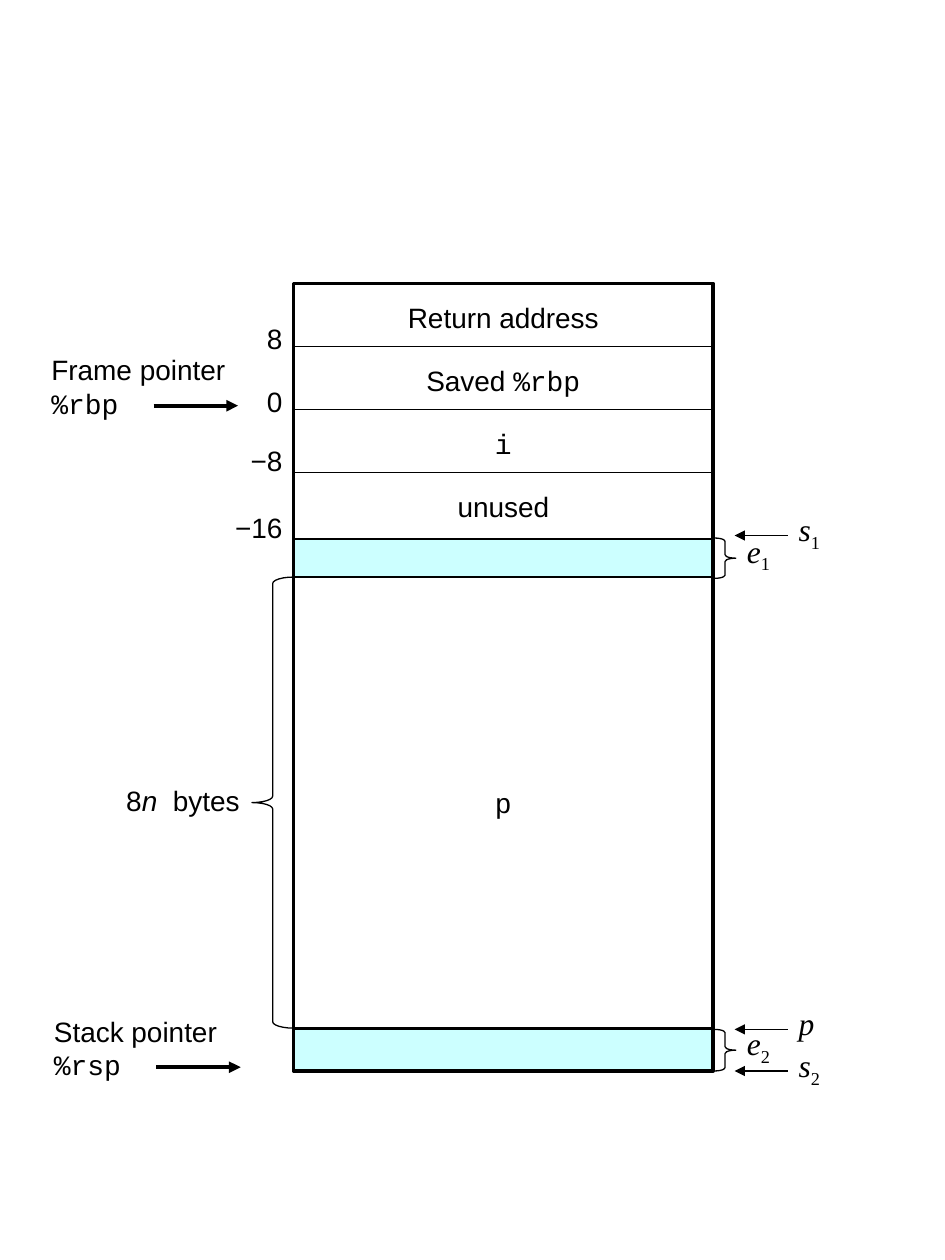
from lxml import etree
from pptx import Presentation
from pptx.dml.color import RGBColor
from pptx.enum import shapes, text
from pptx.oxml import ns
from pptx.util import Inches, Pt

BLACK = RGBColor(0, 0, 0)
WHITE = RGBColor(255, 255, 255)
CYAN = RGBColor(0xCC, 0xFF, 0xFF)
SANS, MONO, SERIF = "Arial", "Courier New", "Times New Roman"
LEFT, WIDTH = 2.33, 3.33
RIGHT = 5.67
BOX = shapes.MSO_SHAPE.RECTANGLE
BRACE = shapes.MSO_SHAPE.RIGHT_BRACE


def put_runs(par, runs, size, align):
    par.alignment = align
    for words, face, *marks in runs:
        run = par.add_run()
        run.text = words
        font = run.font
        font.name, font.size = face, Pt(size)
        font.color.rgb = BLACK
        if "italic" in marks:
            font.italic = True
        if "sub" in marks:
            run._r.get_or_add_rPr().set("baseline", "-25000")


def add_label(slide, x, y, w, h, lines, size=16, align=text.PP_ALIGN.LEFT, wrap=True):
    frame = slide.shapes.add_textbox(Inches(x), Inches(y), Inches(w), Inches(h)).text_frame
    frame.word_wrap = wrap
    frame.auto_size = text.MSO_AUTO_SIZE.SHAPE_TO_FIT_TEXT
    for i, runs in enumerate(lines):
        par = frame.add_paragraph() if i else frame.paragraphs[0]
        put_runs(par, runs, size, align)


def add_shape(slide, kind, x, y, w, h, fill=None, line=1):
    shape = slide.shapes.add_shape(kind, Inches(x), Inches(y), Inches(w), Inches(h))
    shape.shadow.inherit = False
    if fill is None:
        shape.fill.background()
    else:
        shape.fill.solid()
        shape.fill.fore_color.rgb = fill
    shape.line.color.rgb = BLACK
    shape.line.width = Pt(line)
    return shape


def add_cell(slide, y, h, fill=WHITE, runs=()):
    frame = add_shape(slide, BOX, LEFT, y, WIDTH, h, fill).text_frame
    frame.word_wrap = False
    frame.vertical_anchor = text.MSO_ANCHOR.MIDDLE
    put_runs(frame.paragraphs[0], runs, 16, text.PP_ALIGN.CENTER)


def add_brace(slide, x, y, w, h, flip=False):
    brace = add_shape(slide, BRACE, x, y, w, h, line=0.75)
    brace.adjustments[0] = 0.155
    if flip:
        brace._element.spPr.get_or_add_xfrm().set("flipH", "1")


def add_arrow(slide, x, end, y, width):
    arrow = slide.shapes.add_connector(
        shapes.MSO_CONNECTOR.STRAIGHT, Inches(x), Inches(y), Inches(end), Inches(y))
    arrow.line.color.rgb = BLACK
    arrow.line.width = Pt(width)
    head = etree.SubElement(arrow.line._get_or_add_ln(), ns.qn("a:tailEnd"))
    head.set("type", "triangle")
    etree.SubElement(arrow._element.spPr, ns.qn("a:effectLst"))


def add_pointer(slide, x, y, w, name, reg):
    add_label(slide, x, y, w, 0.64, [[(name, SANS)], [(reg, MONO)]], wrap=False)
    add_arrow(slide, x + 0.91, x + 1.58, y + 0.47, 2.25)


def add_symbol(slide, x, y, name, sub=""):
    runs = [(name, SERIF, "italic")]
    if sub:
        runs.append((sub, SERIF, "sub"))
    add_label(slide, x, y, 0.51, 0.4, [runs], size=18)


def main():
    deck = Presentation()
    deck.slide_width, deck.slide_height = Inches(7.5), Inches(10)
    slide = deck.slides.add_slide(deck.slide_layouts[6])

    for y in (4.25, 8.17):
        add_cell(slide, y, 0.33, CYAN)
    add_cell(slide, 4.58, 3.58, runs=[("p", MONO)])
    rows = [
        [("Return address", SANS)],
        [("Saved ", SANS), ("%rbp", MONO)],
        [("i", MONO)],
        [("unused", SANS)],
    ]
    for i, runs in enumerate(rows):
        add_cell(slide, 2.25 + 0.5 * i, 0.53, runs=runs)
    add_shape(slide, BOX, LEFT, 2.25, WIDTH, 6.25, line=2.25)

    for words, y in (("8", 2.5), ("0", 3), ("−8", 3.47), ("−16", 4)):
        add_label(slide, 1.67, y, 0.67, 0.37, [[(words, SANS)]], align=text.PP_ALIGN.RIGHT)
    size = [("8", SANS), ("n ", SANS, "italic"), (" bytes", SANS)]
    add_label(slide, 0.83, 6.17, 1.17, 0.37, [size], align=text.PP_ALIGN.RIGHT)

    add_pointer(slide, 0.31, 2.75, 1.6, "Frame pointer", "%rbp")
    add_pointer(slide, 0.33, 8, 1.51, "Stack pointer", "%rsp")

    add_brace(slide, 2, 4.58, 0.33, 3.58, flip=True)
    add_brace(slide, RIGHT, 4.27, 0.17, 0.32)
    add_brace(slide, RIGHT, 8.17, 0.17, 0.33)

    for y, name, sub in ((4.25, "s", "1"), (8.17, "p", ""), (8.5, "s", "2")):
        add_arrow(slide, 6.25, 5.83, y, 1)
        add_symbol(slide, 6.24, y - 0.25, name, sub)
    add_symbol(slide, 5.83, 4.17, "e", "1")
    add_symbol(slide, 5.83, 8.08, "e", "2")

    deck.save("out.pptx")


if __name__ == "__main__":
    main()
